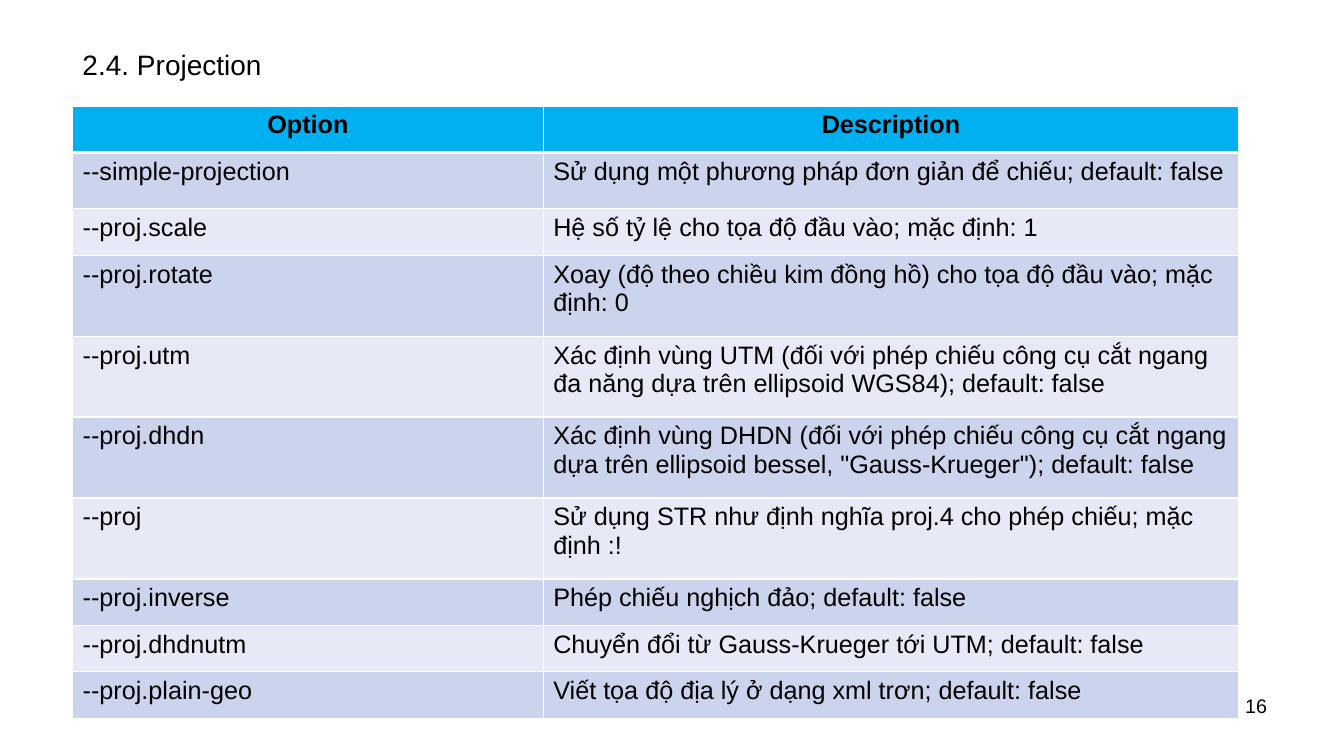
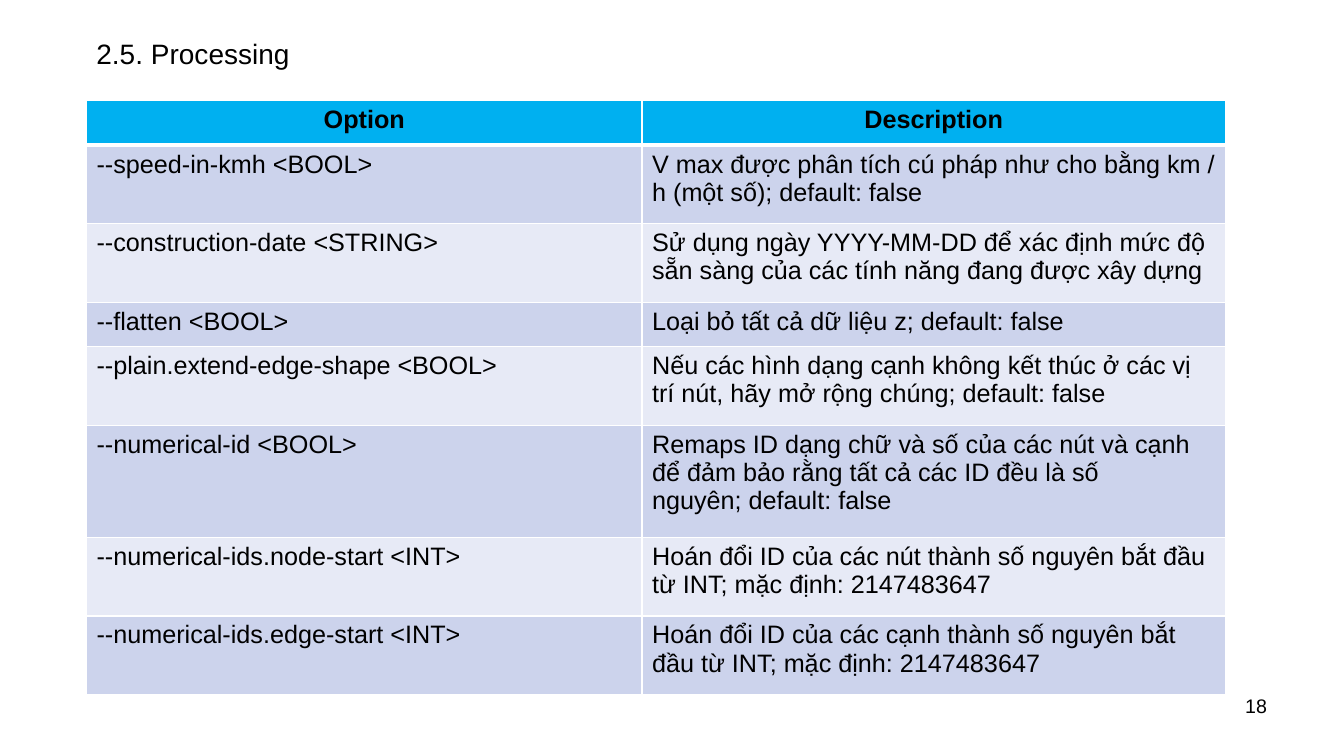
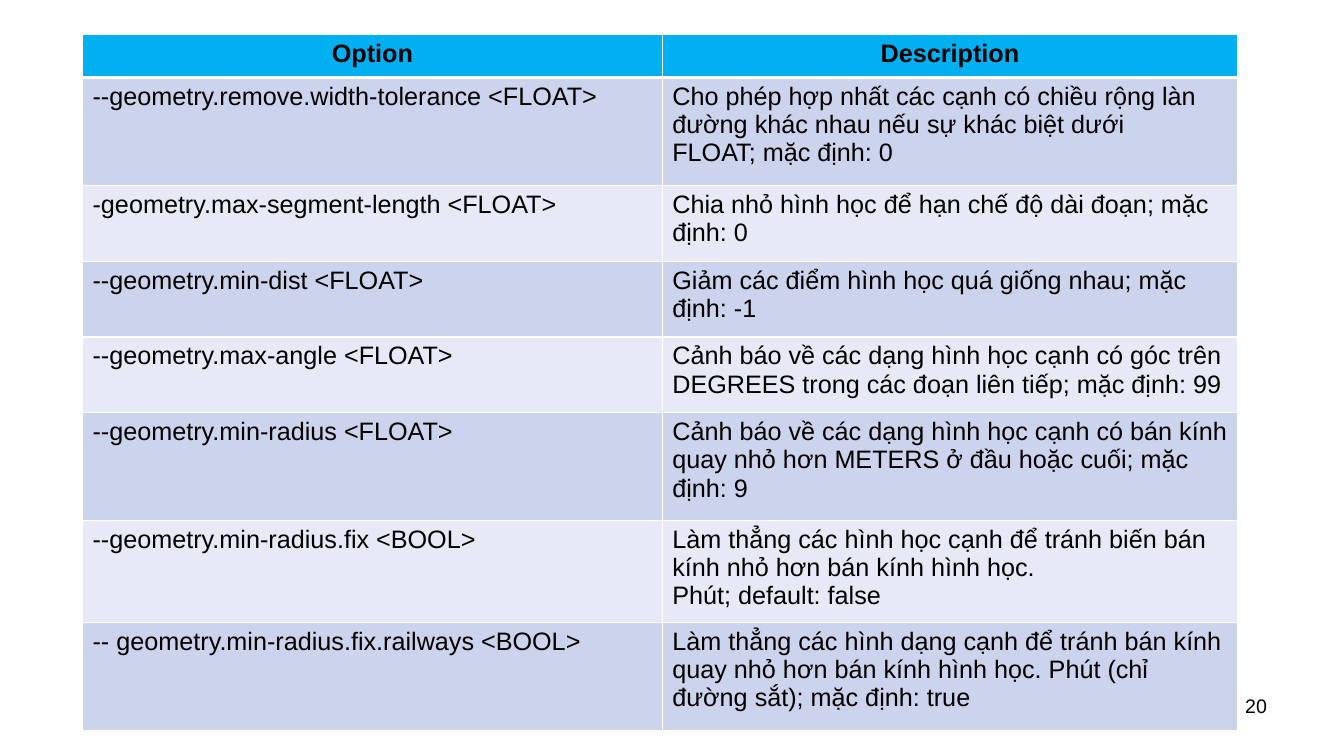
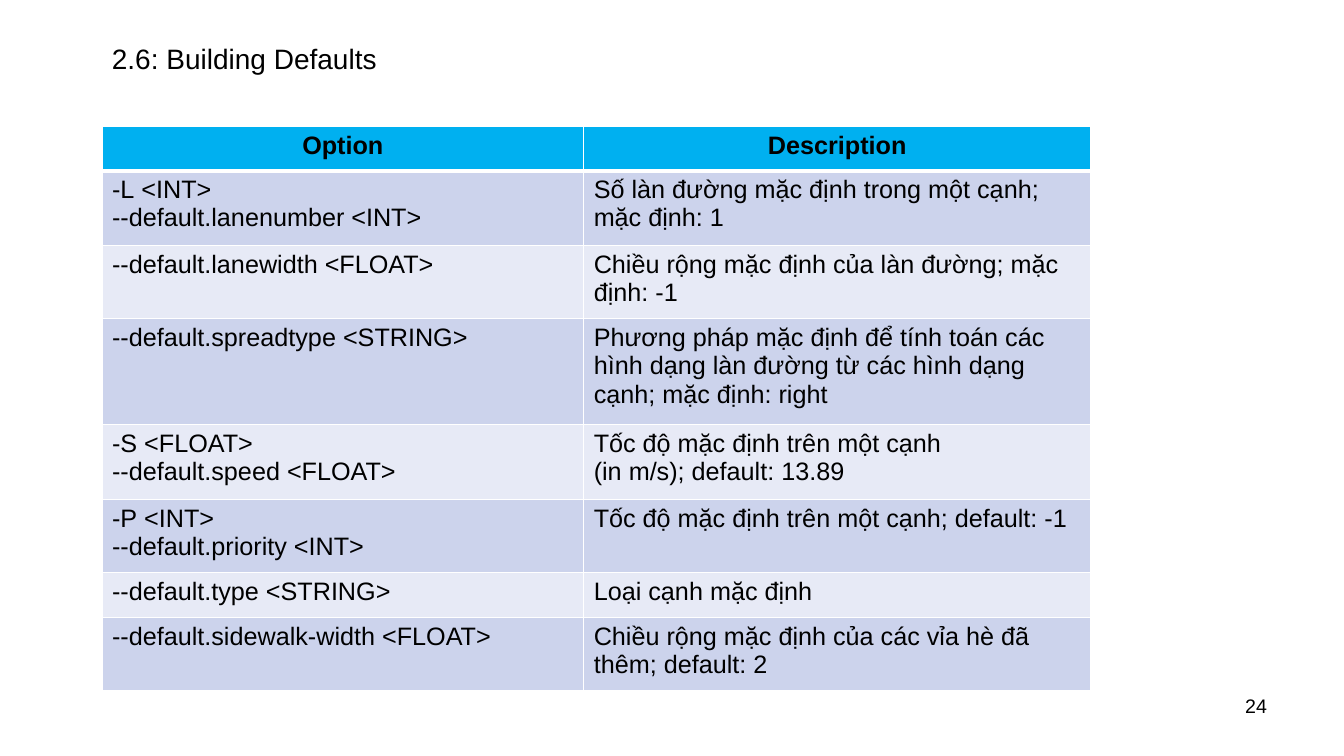
from dataclasses import dataclass

from lxml import etree
from pptx import Presentation
from pptx.dml.color import RGBColor
from pptx.enum.text import MSO_AUTO_SIZE, PP_ALIGN
from pptx.oxml.ns import qn
from pptx.slide import Slide
from pptx.table import _Cell
from pptx.text.text import TextFrame
from pptx.util import Cm, Pt

LEFT, CENTER, RIGHT = PP_ALIGN.LEFT, PP_ALIGN.CENTER, PP_ALIGN.RIGHT
FIT = MSO_AUTO_SIZE.SHAPE_TO_FIT_TEXT
FONT = "Arial"
COLORS = {
    "text": "000000",
    "head": "00B0F0",
    "odd": "CCD3EC",
    "even": "E7EAF6",
    "edge": "FFFFFF",
}
NBSP = chr(160)
TIES = ("; ", ": ", " <", " :")


@dataclass
class Row:
    high: float
    name: str
    about: str


@dataclass
class Title:
    text: str
    top: float
    wide: float


@dataclass
class Page:
    number: int
    title: Title | None
    left: float
    top: float
    cols: tuple[float, float]
    head: float
    rows: list[Row]
    tied: bool = True


PAGES = [
    Page(16, Title("2.4. Projection", 1.07, 5.23), 1.83, 2.67, (11.86, 17.53), 1.17, [
        Row(1.42, "--simple-projection",
            "Sử dụng một phương pháp đơn giản để chiếu; default: false"),
        Row(1.17, "--proj.scale", "Hệ số tỷ lệ cho tọa độ đầu vào; mặc định: 1"),
        Row(2.04, "--proj.rotate",
            "Xoay (độ theo chiều kim đồng hồ) cho tọa độ đầu vào; mặc định: 0"),
        Row(2.04, "--proj.utm",
            "Xác định vùng UTM (đối với phép chiếu công cụ cắt ngang đa năng "
            "dựa trên ellipsoid WGS84); default: false"),
        Row(2.04, "--proj.dhdn",
            "Xác định vùng DHDN (đối với phép chiếu công cụ cắt ngang "
            'dựa trên ellipsoid bessel, "Gauss-Krueger"); default: false'),
        Row(2.04, "--proj",
            "Sử dụng STR như định nghĩa proj.4 cho phép chiếu; mặc định :!"),
        Row(1.17, "--proj.inverse", "Phép chiếu nghịch đảo; default: false"),
        Row(1.17, "--proj.dhdnutm",
            "Chuyển đổi từ Gauss-Krueger tới UTM; default: false"),
        Row(1.17, "--proj.plain-geo",
            "Viết tọa độ địa lý ở dạng xml trơn; default: false"),
    ]),
    Page(18, Title("2.5. Processing", 0.79, 5.64), 2.18, 2.54, (14, 14.7), 1.12, [
        Row(1.98, "--speed-in-kmh <BOOL>",
            "V max được phân tích cú pháp như cho bằng km / h (một số); default: false"),
        Row(1.98, "--construction-date <STRING>",
            "Sử dụng ngày YYYY-MM-DD để xác định mức độ sẵn sàng "
            "của các tính năng đang được xây dựng"),
        Row(1.12, "--flatten <BOOL>", "Loại bỏ tất cả dữ liệu z; default: false"),
        Row(1.98, "--plain.extend-edge-shape <BOOL>",
            "Nếu các hình dạng cạnh không kết thúc ở các vị trí nút, "
            "hãy mở rộng chúng; default: false"),
        Row(2.82, "--numerical-id <BOOL>",
            "Remaps ID dạng chữ và số của các nút và cạnh để đảm bảo rằng "
            "tất cả các ID đều là số nguyên; default: false"),
        Row(1.98, "--numerical-ids.node-start <INT>",
            "Hoán đổi ID của các nút thành số nguyên bắt đầu từ INT; "
            "mặc định: 2147483647"),
        Row(1.98, "--numerical-ids.edge-start <INT>",
            "Hoán đổi ID của các cạnh thành số nguyên bắt đầu từ INT; "
            "mặc định: 2147483647"),
    ]),
    Page(20, None, 2.08, 0.86, (14.61, 14.5), 1.09, [
        Row(2.72, "--geometry.remove.width-tolerance <FLOAT>",
            "Cho phép hợp nhất các cạnh có chiều rộng làn đường khác nhau "
            "nếu sự khác biệt dưới FLOAT; mặc định: 0"),
        Row(1.91, "-geometry.max-segment-length <FLOAT>",
            "Chia nhỏ hình học để hạn chế độ dài đoạn; mặc định: 0"),
        Row(1.91, "--geometry.min-dist <FLOAT>",
            "Giảm các điểm hình học quá giống nhau; mặc định: -1"),
        Row(1.91, "--geometry.max-angle <FLOAT>",
            "Cảnh báo về các dạng hình học cạnh có góc trên DEGREES "
            "trong các đoạn liên tiếp; mặc định: 99"),
        Row(2.72, "--geometry.min-radius <FLOAT>",
            "Cảnh báo về các dạng hình học cạnh có bán kính quay nhỏ hơn METERS "
            "ở đầu hoặc cuối; mặc định: 9"),
        Row(2.57, "--geometry.min-radius.fix <BOOL>",
            "Làm thẳng các hình học cạnh để tránh biến bán kính nhỏ hơn "
            "bán kính hình học. Phút; default: false"),
        Row(2.72, "-- geometry.min-radius.fix.railways <BOOL>",
            "Làm thẳng các hình dạng cạnh để tránh bán kính quay nhỏ hơn "
            "bán kính hình học. Phút (chỉ đường sắt); mặc định: true"),
    ]),
    Page(24, Title("2.6: Building Defaults", 0.91, 7.47), 2.57, 3.18, (12.14, 12.78), 1.12, [
        Row(1.88, "-L <INT>\n--default.lanenumber <INT>",
            "Số làn đường mặc định trong một cạnh; mặc định: 1"),
        Row(1.85, "--default.lanewidth <FLOAT>",
            "Chiều rộng mặc định của làn đường; mặc định: -1"),
        Row(2.67, "--default.spreadtype <STRING>",
            "Phương pháp mặc định để tính toán các hình dạng làn đường "
            "từ các hình dạng cạnh; mặc định: right"),
        Row(1.88, "-S <FLOAT>\n--default.speed <FLOAT>",
            "Tốc độ mặc định trên một cạnh\n(in m/s); default: 13.89"),
        Row(1.85, "-P <INT>\n--default.priority <INT>",
            "Tốc độ mặc định trên một cạnh; default: -1"),
        Row(1.12, "--default.type <STRING>", "Loại cạnh mặc định"),
        Row(1.85, "--default.sidewalk-width <FLOAT>",
            "Chiều rộng mặc định của các vỉa hè đã thêm; default: 2"),
    ], tied=False),
]


def tie(text: str, tied: bool) -> str:
    """Keep values with their labels by no-break spaces; tied covers "mặc định" too."""
    if not tied and "; mặc" in text:
        return text
    for mark in TIES:
        text = text.replace(mark, mark.replace(" ", NBSP))
    return text


def write(frame: TextFrame, text: str, size: int,
          align: PP_ALIGN = LEFT, bold: bool = False) -> None:
    frame.text = text
    for para in frame.paragraphs:
        para.alignment = align
        font = para.font
        font.name, font.size, font.bold = FONT, Pt(size), bold
        font.color.rgb = RGBColor.from_string(COLORS["text"])


def add_text(slide: Slide, box: tuple[float, float, float, float],
             text: str, size: int, align: PP_ALIGN = LEFT) -> TextFrame:
    frame = slide.shapes.add_textbox(*map(Cm, box)).text_frame
    frame.word_wrap = True
    write(frame, text, size, align)
    return frame


def style(cell: _Cell, fill: str, top: int, base: int) -> None:
    """Set the fill and the border widths in points; sides are 1 point."""
    props = cell._tc.get_or_add_tcPr()
    for tag, width in (("a:lnL", 1), ("a:lnR", 1), ("a:lnT", top), ("a:lnB", base)):
        line = etree.SubElement(props, qn(tag), w=str(Pt(width)))
        solid = etree.SubElement(line, qn("a:solidFill"))
        etree.SubElement(solid, qn("a:srgbClr"), val=COLORS["edge"])
    cell.fill.solid()
    cell.fill.fore_color.rgb = RGBColor.from_string(COLORS[fill])


def add_grid(slide: Slide, page: Page) -> None:
    rows = [Row(page.head, "Option", "Description"), *page.rows]
    high = sum(row.high for row in rows)
    grid = slide.shapes.add_table(
        len(rows), len(page.cols), Cm(page.left), Cm(page.top),
        Cm(sum(page.cols)), Cm(high)).table
    grid.horz_banding = False
    for col, wide in zip(grid.columns, page.cols):
        col.width = Cm(wide)
    for i, row in enumerate(rows):
        grid.rows[i].height = Cm(row.high)
        head = i == 0
        fill = "head" if head else "odd" if i % 2 else "even"
        for j, text in enumerate((row.name, row.about)):
            cell = grid.cell(i, j)
            write(cell.text_frame, tie(text, page.tied), 18,
                  CENTER if head else LEFT, head)
            style(cell, fill, 3 if i == 1 else 1, 3 if head else 1)


def main() -> None:
    deck = Presentation()
    deck.slide_width, deck.slide_height = Cm(33.87), Cm(19.05)
    for page in PAGES:
        slide = deck.slides.add_slide(deck.slide_layouts[6])
        title = page.title
        if title:
            box = (page.left, title.top, title.wide, 1.12)
            frame = add_text(slide, box, title.text, 20)
            frame.word_wrap, frame.auto_size = False, FIT
        add_grid(slide, page)
        add_text(slide, (24.28, 17.35, 7.9, 1.32), str(page.number), 14, RIGHT)
    deck.save("out.pptx")


if __name__ == "__main__":
    main()
